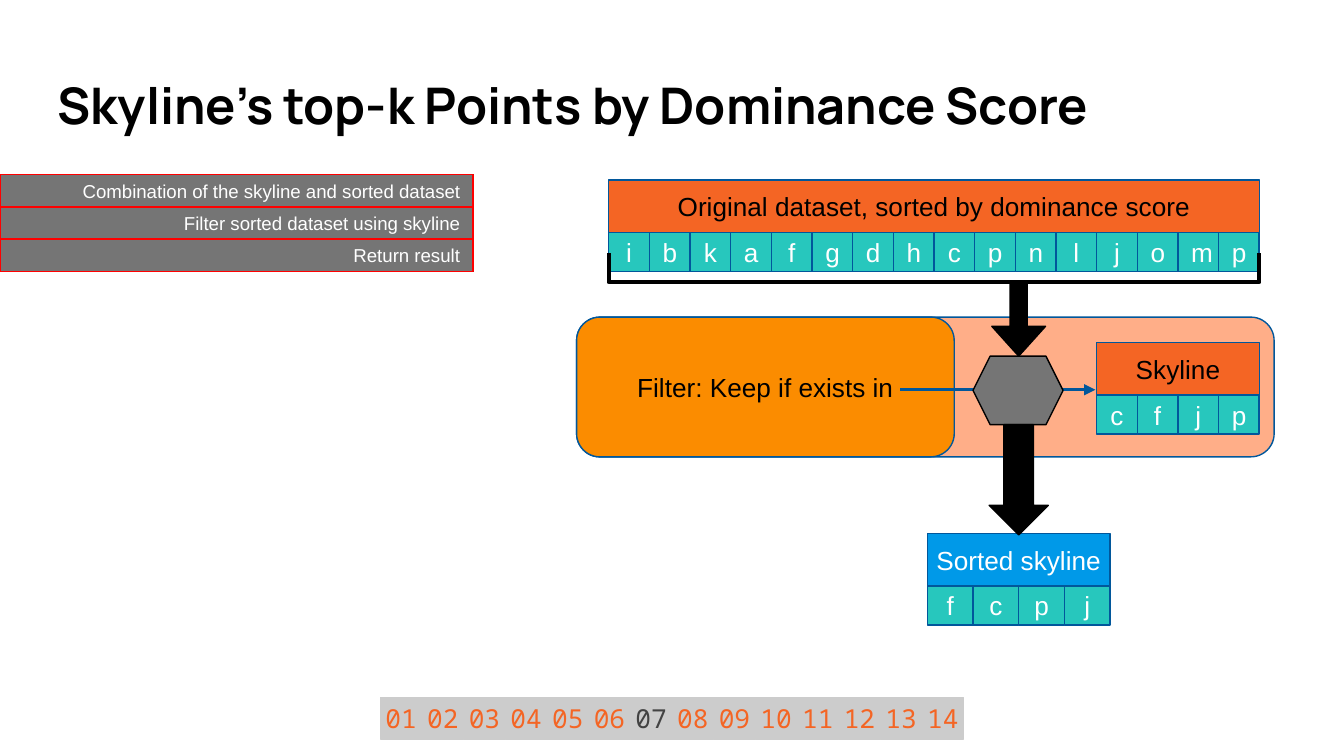
from lxml.etree import SubElement
from pptx import Presentation
from pptx.dml.color import RGBColor
from pptx.enum.shapes import MSO_CONNECTOR, MSO_SHAPE
from pptx.enum.text import MSO_ANCHOR, PP_ALIGN
from pptx.oxml.ns import qn
from pptx.util import Inches, Pt

BLACK = RGBColor(0x00, 0x00, 0x00)
WHITE = RGBColor(0xFF, 0xFF, 0xFF)
RED = RGBColor(0xFF, 0x00, 0x00)
GREY = RGBColor(0x75, 0x75, 0x75)
LIGHT_GREY = RGBColor(0xCC, 0xCC, 0xCC)
DARK_GREY = RGBColor(0x43, 0x43, 0x43)
NAVY = RGBColor(0x01, 0x57, 0x9B)
BLUE = RGBColor(0x00, 0x99, 0xE8)
TEAL = RGBColor(0x27, 0xC7, 0xBD)
ORANGE = RGBColor(0xF4, 0x65, 0x24)
AMBER = RGBColor(0xFB, 0x8C, 0x00)
PEACH = RGBColor(0xFF, 0xAE, 0x88)

# Content
TITLE = "Skyline’s top-k Points by Dominance Score"
STEPS = [
    "Combination of the skyline and sorted dataset",
    "Filter sorted dataset using skyline",
    "Return result",
]
FILTER_LABEL = "Filter: Keep if exists in"
# heading, letters, left, top, width, heading fill, heading colour, heading inset
DATASETS = [
    ("Skyline", "cfjp", 8.16, 2.55, 1.21, ORANGE, BLACK, 0.1),
    ("Original dataset, sorted by dominance score", "ibkafgdhcpnljomp",
     4.53, 1.34, 4.84, ORANGE, BLACK, 0.1),
    ("Sorted skyline", "fcpj", 6.9, 3.97, 1.36, BLUE, WHITE, 0.02),
]
PAGE_COUNT, CURRENT_PAGE = 14, 7

# Measures in inches
HEADING_HEIGHT, CELL_HEIGHT = 0.39, 0.29
STEP_TOP, STEP_WIDTH, STEP_HEIGHT = 1.3, 3.52, 0.24
PAGE_LEFT, PAGE_TOP, PAGE_SIZE = 2.83, 5.19, 0.31
BRACKET_MIDDLE, BRACKET_ENDS = 7.58, (4.53, 9.37)
BRACKET_TOP, BRACKET_BOTTOM = 1.88, 2.1


def add_text(shape, text, size, color, font="Arial", align=PP_ALIGN.CENTER,
             inset=0.1, anchor=MSO_ANCHOR.MIDDLE, bold=False):
    frame = shape.text_frame
    frame.word_wrap = True
    frame.vertical_anchor = anchor
    frame.margin_left = frame.margin_right = Inches(inset)
    frame.margin_top = frame.margin_bottom = Inches(inset)
    paragraph = frame.paragraphs[0]
    paragraph.alignment = align
    run = paragraph.add_run()
    run.text = text
    run.font.name = font
    run.font.size = Pt(size)
    run.font.bold = bold
    run.font.color.rgb = color


def add_box(slide, left, top, width, height, fill, line,
            kind=MSO_SHAPE.RECTANGLE, adjustments=()):
    shape = slide.shapes.add_shape(
        kind, Inches(left), Inches(top), Inches(width), Inches(height))
    shape.shadow.inherit = False
    for index, value in enumerate(adjustments):
        shape.adjustments[index] = value
    if fill is None:
        shape.fill.background()
    else:
        shape.fill.solid()
        shape.fill.fore_color.rgb = fill
    shape.line.color.rgb = line
    shape.line.width = Pt(0.75)
    return shape


def add_line(slide, kind, start, end, color, width):
    connector = slide.shapes.add_connector(
        kind, *(Inches(value) for value in (*start, *end)))
    connector.line.color.rgb = color
    connector.line.width = Pt(width)
    SubElement(connector._element.spPr, qn("a:effectLst"))
    return connector


def add_filter_panel(slide):
    for width, fill in ((5.19, PEACH), (2.81, AMBER)):
        panel = add_box(slide, 4.29, 2.36, width, 1.04, fill, NAVY,
                        MSO_SHAPE.ROUNDED_RECTANGLE, (0.167,))
    add_text(panel, FILTER_LABEL, 14, BLACK)
    arrow = add_line(slide, MSO_CONNECTOR.STRAIGHT, (6.7, 2.9), (8.15, 2.9),
                     NAVY, 1.5)
    SubElement(arrow.line._get_or_add_ln(), qn("a:tailEnd"), type="triangle")


def add_steps(slide):
    tops = [STEP_TOP + index * STEP_HEIGHT for index in range(len(STEPS))]
    for text, top in zip(STEPS, tops):
        bar = add_box(slide, 0, top, STEP_WIDTH, STEP_HEIGHT, GREY, BLACK)
        add_text(bar, text, 10, WHITE, align=PP_ALIGN.RIGHT)
    # Red highlight frames over the bars
    for top in tops:
        add_box(slide, 0, top, STEP_WIDTH, STEP_HEIGHT, None, RED)


def add_dataset(slide, heading, letters, left, top, width, fill, color, inset):
    cell_width = width / len(letters)
    for index, letter in enumerate(letters):
        cell = add_box(slide, left + index * cell_width, top + HEADING_HEIGHT,
                       cell_width, CELL_HEIGHT, TEAL, NAVY)
        add_text(cell, letter, 14, WHITE)
    header = add_box(slide, left, top, width, HEADING_HEIGHT, fill, NAVY)
    add_text(header, heading, 14, color, inset=inset)


def add_flow(slide):
    add_box(slide, 7.24, 2.65, 0.67, 0.51, GREY, BLACK,
            MSO_SHAPE.HEXAGON, (0.25, 1.155))
    add_box(slide, 7.38, 2.1, 0.4, 0.55, BLACK, BLACK,
            MSO_SHAPE.DOWN_ARROW, (0.32, 0.555))
    # Bracket under the whole dataset: each half runs outwards, then up
    for end in BRACKET_ENDS:
        half = add_line(slide, MSO_CONNECTOR.ELBOW, (BRACKET_MIDDLE, BRACKET_BOTTOM),
                        (end, BRACKET_TOP), BLACK, 2.25)
        half._element.spPr.find(qn("a:prstGeom")).set("prst", "bentConnector2")
    add_box(slide, 7.36, 3.16, 0.44, 0.82, BLACK, BLACK,
            MSO_SHAPE.DOWN_ARROW, (0.5, 0.5))


def add_page_strip(slide):
    for page in range(1, PAGE_COUNT + 1):
        box = add_box(slide, PAGE_LEFT + (page - 1) * PAGE_SIZE, PAGE_TOP,
                      PAGE_SIZE, PAGE_SIZE, LIGHT_GREY, LIGHT_GREY)
        color = DARK_GREY if page == CURRENT_PAGE else ORANGE
        add_text(box, f"{page:02d}", 14, color, "Noto Sans Mono", inset=0)


def main():
    presentation = Presentation()
    presentation.slide_width = Inches(10)
    presentation.slide_height = Inches(10 * 9 / 16)
    slide = presentation.slides.add_slide(presentation.slide_layouts[6])

    add_filter_panel(slide)
    title = slide.shapes.add_textbox(
        Inches(0.33), Inches(0.45), Inches(9.32), Inches(0.7))
    add_text(title, TITLE, 27, BLACK, "Manrope", PP_ALIGN.LEFT,
             anchor=MSO_ANCHOR.TOP, bold=True)
    add_steps(slide)
    for dataset in DATASETS:
        add_dataset(slide, *dataset)
    add_flow(slide)
    add_page_strip(slide)
    presentation.save("out.pptx")


if __name__ == "__main__":
    main()
